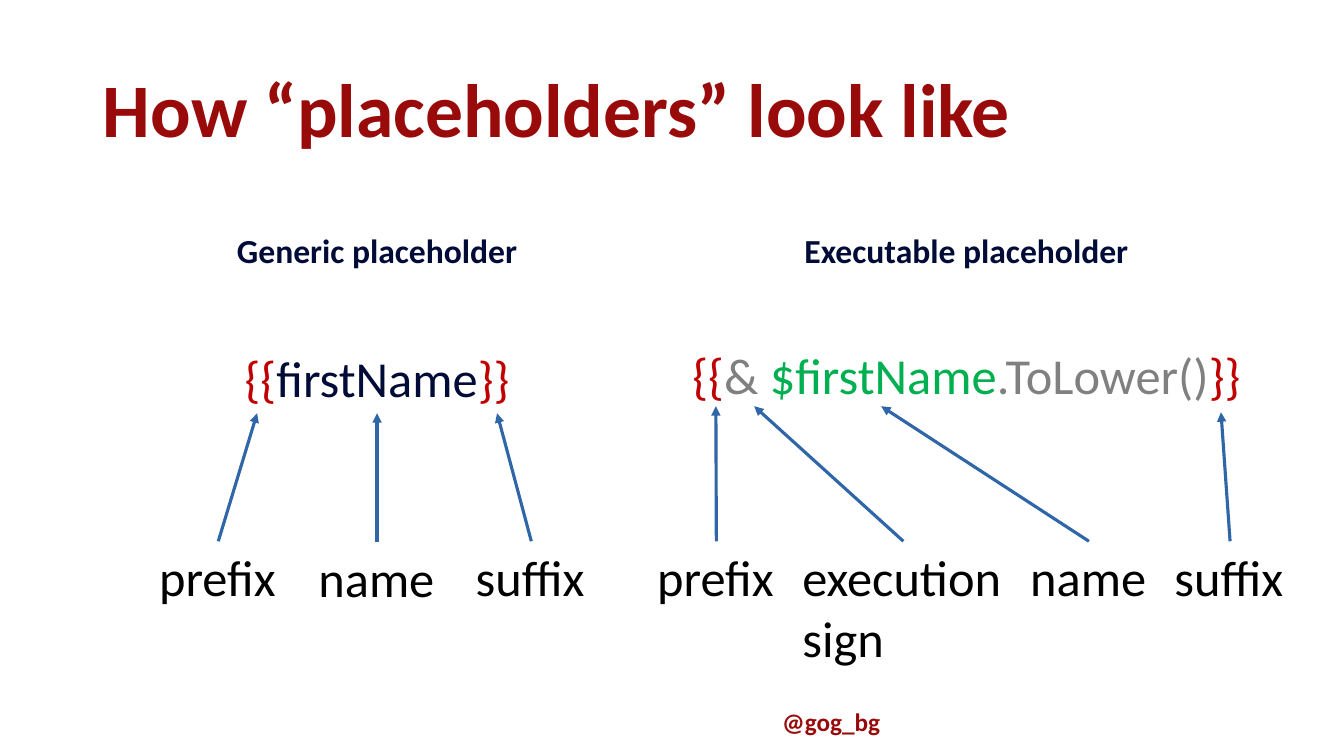
"""Build a slide that explains the parts of two kinds of placeholders."""
from dataclasses import dataclass

import lxml.etree
import pptx
import pptx.dml.color
import pptx.enum.shapes
import pptx.enum.text
import pptx.oxml.ns
import pptx.util

Inches = pptx.util.Inches
Align = pptx.enum.text.PP_ALIGN
Anchor = pptx.enum.text.MSO_ANCHOR
AutoSize = pptx.enum.text.MSO_AUTO_SIZE

FONT = "Calibri"
RED, NAVY, BLACK, BLUE = "990A0A", "010B37", "000000", "2F66A8"
BRACE, GREY, GREEN = "C00000", "808080", "00B050"
COLUMN_TOP, CODE_TOP, LABEL_TOP = 1.84, 2.74, 5.37


@dataclass
class Span:
    text: str
    color: str


@dataclass
class Label:
    lines: list[str]
    left: float
    width: float
    target: tuple[float, float]
    top: float = LABEL_TOP


@dataclass
class Column:
    left: float
    width: float
    heading: str
    code: list[Span]
    code_inset: float
    heading_index: int
    labels: list[Label]


COLUMNS = [
    Column(
        0.92, 5.64, "Generic placeholder",
        [Span("{{", BRACE), Span("firstName", NAVY), Span("}}", BRACE)],
        0.77, 1,
        [
            Label(["prefix"], 1.48, 1.37, (2.55, 4.1)),
            Label(["name"], 3.06, 1.36, (3.74, 4.1), 5.38),
            Label(["suffix"], 4.62, 1.3, (4.93, 4.1)),
        ],
    ),
    Column(
        6.75, 5.67, "Executable placeholder",
        [Span("{{", BRACE), Span("& ", GREY), Span("$firstName", GREEN),
         Span(".ToLower()", GREY), Span("}}", BRACE)],
        0.74, 3,
        [
            Label(["prefix"], 6.42, 1.37, (7.1, 4.03)),
            Label(["execution", "sign"], 7.86, 2.2, (7.48, 4.03)),
            Label(["name"], 10.12, 1.36, (8.74, 4.03)),
            Label(["suffix"], 11.55, 1.3, (12.11, 4.09)),
        ],
    ),
]


def rgb(color: str) -> pptx.dml.color.RGBColor:
    return pptx.dml.color.RGBColor.from_string(color)


def place(box, left: float, top: float, width: float, height: float) -> None:
    box.left, box.top = Inches(left), Inches(top)
    box.width, box.height = Inches(width), Inches(height)


def write(box, lines: list[list[Span]], *, size: float, bold: bool = False,
          align=Align.LEFT, anchor=Anchor.TOP, spacing: float = 1.0,
          wrap: bool = True, fit=AutoSize.NONE, inset: float = 0.05) -> None:
    frame = box.text_frame
    frame.word_wrap, frame.auto_size = wrap, fit
    frame.vertical_anchor, frame.margin_top = anchor, Inches(inset)
    for number, spans in enumerate(lines):
        para = frame.add_paragraph() if number else frame.paragraphs[0]
        properties = para._p.get_or_add_pPr()
        properties.set("marL", "0")
        properties.set("indent", "0")
        lxml.etree.SubElement(properties, pptx.oxml.ns.qn("a:buNone"))
        para.alignment, para.line_spacing = align, spacing
        para.space_before = pptx.util.Pt(0)
        for span in spans:
            run = para.add_run()
            run.text = span.text
            run.font.name, run.font.size = FONT, pptx.util.Pt(size)
            run.font.bold, run.font.color.rgb = bold, rgb(span.color)


def add_arrow(page, label_box, target: tuple[float, float]) -> None:
    end_x, end_y = (Inches(value) for value in target)
    arrow = page.shapes.add_connector(
        pptx.enum.shapes.MSO_CONNECTOR.STRAIGHT,
        label_box.left, label_box.top, end_x, end_y)
    arrow.begin_connect(label_box, 0)
    arrow.line.color.rgb, arrow.line.width = rgb(BLUE), pptx.util.Pt(2.25)
    line = arrow.line._get_or_add_ln()
    lxml.etree.SubElement(line, pptx.oxml.ns.qn("a:tailEnd"), type="triangle")
    lxml.etree.SubElement(arrow._element.spPr, pptx.oxml.ns.qn("a:effectLst"))


def add_label(page, label: Label) -> None:
    height = 0.71 + 0.6 * (len(label.lines) - 1)
    box = page.shapes.add_textbox(0, 0, 0, 0)
    place(box, label.left, label.top, label.width, height)
    write(box, [[Span(line, BLACK)] for line in label.lines], size=36,
          wrap=False, fit=AutoSize.SHAPE_TO_FIT_TEXT)
    add_arrow(page, box, label.target)


def add_column(page, column: Column) -> None:
    heading = page.placeholders[column.heading_index]
    place(heading, column.left, COLUMN_TOP, column.width, 0.9)
    write(heading, [[Span(column.heading, NAVY)]], size=24, bold=True,
          align=Align.CENTER, anchor=Anchor.BOTTOM, spacing=0.9)
    code = page.placeholders[column.heading_index + 1]
    place(code, column.left, CODE_TOP, column.width, 1.82)
    write(code, [column.code], size=36, align=Align.CENTER, spacing=0.9,
          inset=column.code_inset)
    for label in column.labels:
        add_label(page, label)


def main() -> None:
    deck = pptx.Presentation()
    deck.slide_width, deck.slide_height = Inches(13.33), Inches(7.5)
    page = deck.slides.add_slide(deck.slide_layouts.get_by_name("Comparison"))
    handle = page.shapes.add_textbox(0, 0, 0, 0)
    place(handle, 7.66, 6.96, 2.49, 0.4)
    write(handle, [[Span("@gog_bg", RED)]], size=18, bold=True)
    title = page.shapes.title
    place(title, 0.92, 0.4, 10.63, 1.45)
    write(title, [[Span("How “placeholders” look like", RED)]], size=54,
          bold=True, anchor=Anchor.MIDDLE, spacing=0.9)
    for column in COLUMNS:
        add_column(page, column)
    deck.save("out.pptx")


if __name__ == "__main__":
    main()
